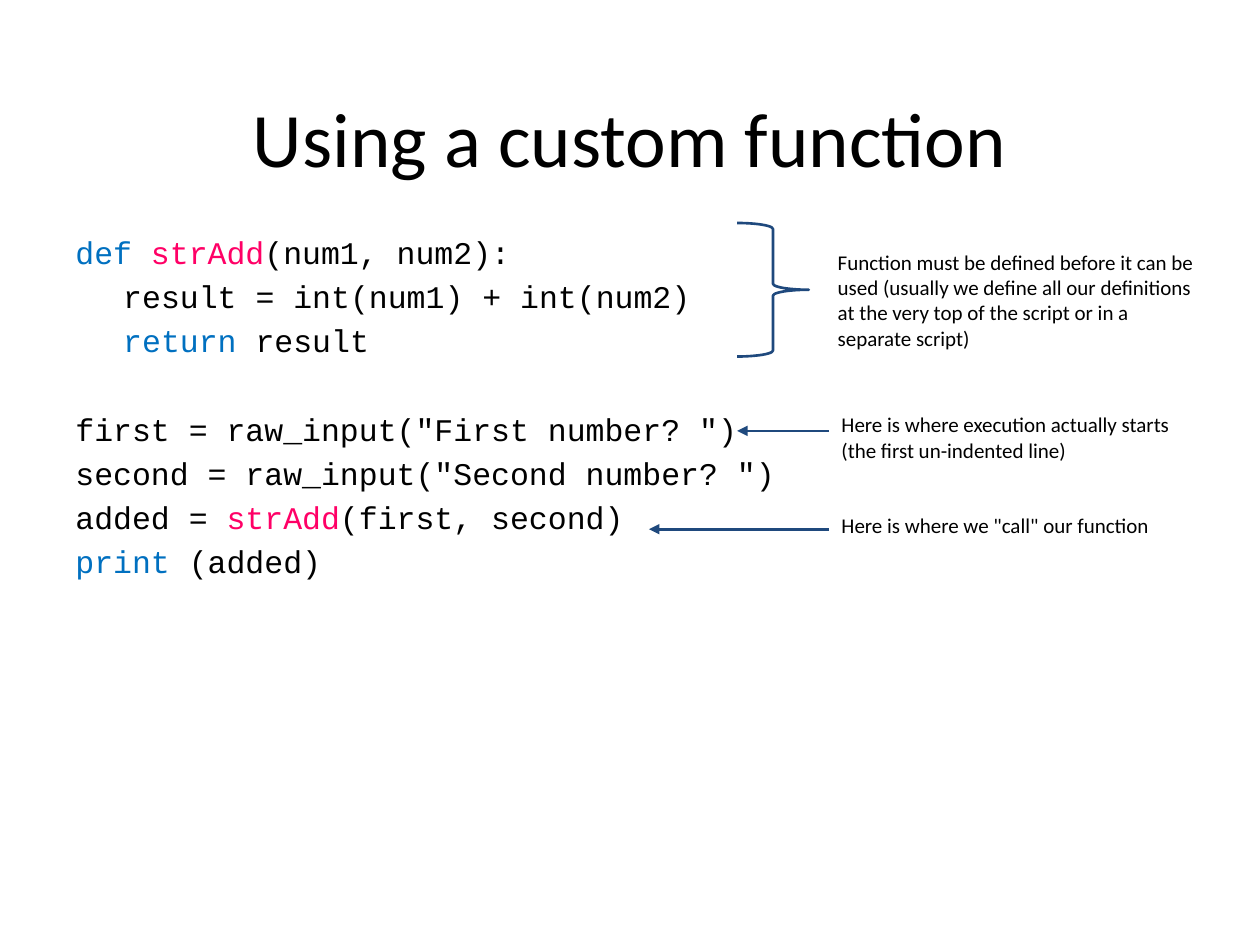
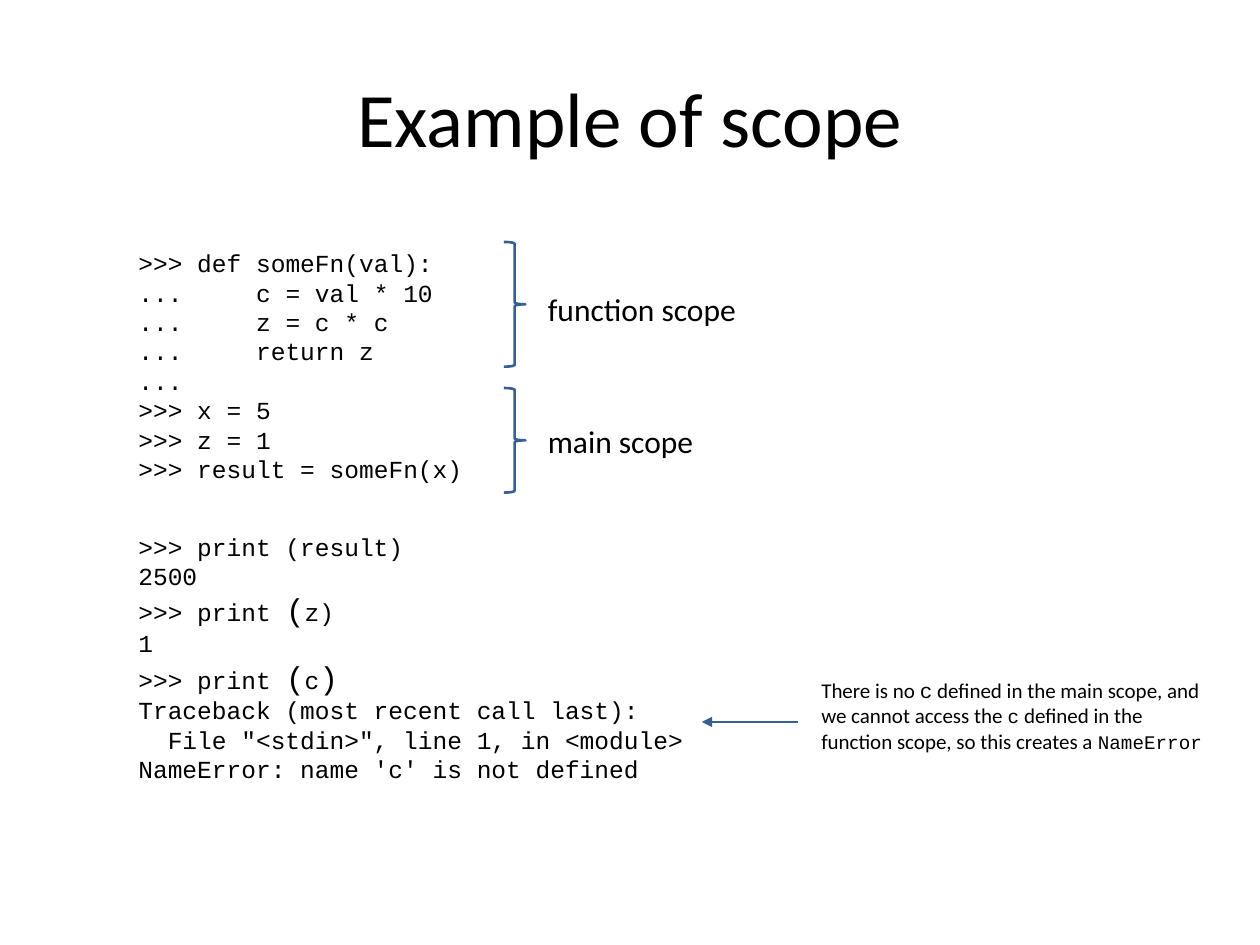
from pptx import Presentation
from pptx.dml.color import RGBColor
from pptx.enum import shapes, text
from pptx.oxml.ns import qn
from pptx.util import Inches, Pt
from lxml import etree

BLACK = RGBColor(0x00, 0x00, 0x00)
KEYWORD = RGBColor(0x00, 0x70, 0xC0)
FUNCTION = RGBColor(0xFF, 0x00, 0x66)
NAVY = RGBColor(0x1F, 0x49, 0x7D)
STEEL = RGBColor(0x36, 0x60, 0x92)
SANS, MONO = "Calibri", "Courier New"
TITLE_BOX = (0.5, 0.3, 9, 1.25)


def add_text(s, box, paras, size=12, font=SANS, align=text.PP_ALIGN.LEFT,
             anchor=text.MSO_ANCHOR.TOP, pad=0.1, before=None, indents=None):
    """Each paragraph is a string or a list of runs; a run is a string or (string, overrides)."""
    tf = s.shapes.add_textbox(*map(Inches, box)).text_frame
    tf.word_wrap = True
    tf.vertical_anchor = anchor
    tf.margin_left = tf.margin_right = Inches(0.1)
    tf.margin_top = tf.margin_bottom = Inches(pad)
    for i, runs in enumerate(paras):
        p = tf.paragraphs[0] if i == 0 else tf.add_paragraph()
        p.alignment = align
        if before and i:
            p.space_before = Pt(before[i])
        if indents and indents[i]:
            p._p.get_or_add_pPr().set("marL", str(Inches(indents[i])))
        for run in [runs] if isinstance(runs, str) else runs:
            words, own = (run, {}) if isinstance(run, str) else run
            r = p.add_run()
            r.text = words
            r.font.name = own.get("font", font)
            r.font.size = Pt(own.get("size", size))
            r.font.color.rgb = own.get("color", BLACK)


def add_marks(s, color, braces, arrows):
    """Draw right braces (left, top, width, height) and leftward arrows (right, left, y)."""
    for box in braces:
        sp = s.shapes.add_shape(shapes.MSO_SHAPE.RIGHT_BRACE, *map(Inches, box))
        sp.shadow.inherit = False
        sp.fill.background()
        sp.line.color.rgb = color
        sp.line.width = Pt(1.5)
    for right, left, y in arrows:
        sp = s.shapes.add_connector(shapes.MSO_CONNECTOR.STRAIGHT,
                                    Inches(right), Inches(y), Inches(left), Inches(y))
        sp.line.color.rgb = color
        sp.line.width = Pt(1.5)
        etree.SubElement(sp.line._get_or_add_ln(), qn("a:tailEnd"), type="triangle")
        etree.SubElement(sp._element.spPr, qn("a:effectLst"))


prs = Presentation()
prs.slide_width, prs.slide_height = Inches(10), Inches(7.5)
blank = prs.slide_layouts[6]
keyword, function = {"color": KEYWORD}, {"color": FUNCTION}
big, mono = {"size": 18}, {"font": MONO, "size": 11}

# Using a custom function
s = prs.slides.add_slide(blank)
add_text(s, TITLE_BOX, ["Using a custom function"], size=44,
         align=text.PP_ALIGN.CENTER, anchor=text.MSO_ANCHOR.BOTTOM)
add_text(s, (0.5, 1.75, 9, 4.95), [
    [("def ", keyword), ("strAdd", function), "(num1, num2):"],
    "result = int(num1) + int(num2)",
    [("return", keyword), " result"],
    'first = raw_input("First number? ")',
    'second = raw_input("Second number? ")',
    ["added = ", ("strAdd", function), "(first, second)"],
    [("print", keyword), " (added)"],
], size=18, font=MONO, before=[0, 3.6, 3.6, 28.8, 3.6, 3.6, 3.6],
    indents=[0, 0.38, 0.38, 0, 0, 0, 0])
for box, note in [
    ((6.55, 1.88, 3.12, 1.15), "Function must be defined before it can be used (usually we define "
     "all our definitions at the very top of the script or in a separate script)"),
    ((6.58, 3.17, 3.02, 0.5), "Here is where execution actually starts (the first un-indented line)"),
    ((6.58, 3.97, 3.02, 0.5), 'Here is where we "call" our function'),
]:
    add_text(s, box, [note])
add_marks(s, NAVY, braces=[(5.85, 1.77, 0.57, 1.06)],
          arrows=[(6.58, 5.85, 3.42), (6.58, 5.15, 4.2)])

# Example of scope
s = prs.slides.add_slide(blank)
add_text(s, TITLE_BOX, ["Example of scope"], size=44, pad=0.05,
         align=text.PP_ALIGN.CENTER, anchor=text.MSO_ANCHOR.MIDDLE)
add_text(s, (1, 1.92, 7.92, 1.99), [
    ">>> def someFn(val):",
    "...     c = val * 10",
    "...     z = c * c",
    "...     return z",
    "...",
    ">>> x = 5",
    ">>> z = 1",
    ">>> result = someFn(x)",
], size=14, font=MONO, pad=0.05)
add_text(s, (1, 4.17, 5, 1.99), [
    ">>> print (result)",
    "2500",
    [">>> print ", ("(", big), "z)"],
    "1",
    [">>> print ", ("(", big), "c", (")", big)],
    "Traceback (most recent call last):",
    '  File "<stdin>", line 1, in <module>',
    "NameError: name 'c' is not defined",
], size=14, font=MONO, pad=0.05)
add_text(s, (6.42, 5.33, 3.33, 0.71), [[
    "There is no ", ("c", {"font": MONO}),
    " defined in the main scope, and we cannot access the ", ("c", mono),
    " defined in the function scope, so this creates a ", ("NameError", mono),
]], pad=0.05)
for box, label in [((4.25, 2.25, 1.71, 0.4), "function scope"),
                   ((4.25, 3.3, 1.37, 0.4), "main scope")]:
    add_text(s, box, [label], size=18, pad=0.05)
add_marks(s, STEEL, braces=[(4, 1.92, 0.17, 0.99), (4, 3.08, 0.17, 0.83)],
          arrows=[(6.33, 5.57, 5.73)])

prs.save("out.pptx")
